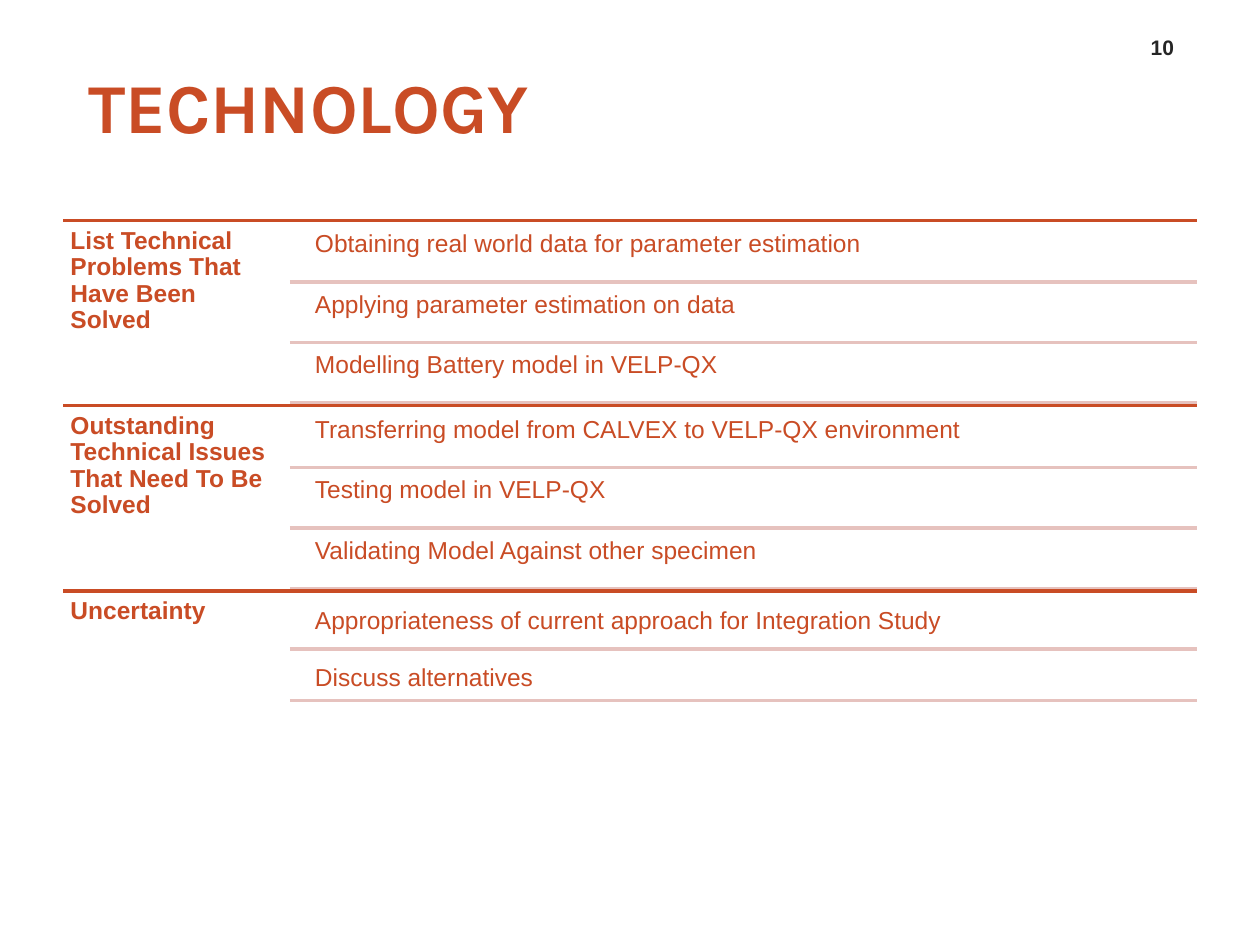
import pptx
import pptx.dml.color
import pptx.enum.shapes
import pptx.enum.text
import pptx.oxml
import pptx.util

Inches = pptx.util.Inches
ALIGN = pptx.enum.text.PP_ALIGN
ANCHOR = pptx.enum.text.MSO_ANCHOR

COLORS = {"accent": "C94C25", "rule": "E6C2BE", "number": "262626"}

LEFT, RIGHT = 0.5, 9.5
RULE_LEFT, ITEM_LEFT = 2.3, 2.44
SECTION_TOP, SECTION_HEIGHT = 1.75, 1.47

# Row places within a section: (offset from its top, height)
EVEN_ROWS = [(0.03 + 0.48 * row, 0.46) for row in range(3)]
SHORT_ROWS = [(0.08, 0.38), (0.53, 0.34)]

SECTIONS = [
    ("List Technical Problems That Have Been Solved", EVEN_ROWS, [
        "Obtaining real world data for parameter estimation",
        "Applying parameter estimation on data",
        "Modelling Battery model in VELP-QX",
    ]),
    ("Outstanding Technical Issues That Need To Be Solved", EVEN_ROWS, [
        "Transferring model from CALVEX to VELP-QX environment",
        "Testing model in VELP-QX",
        "Validating Model Against other specimen",
    ]),
    ("Uncertainty", SHORT_ROWS, [
        "Appropriateness of current approach for Integration Study",
        "Discuss alternatives",
    ]),
]


def rgb(name):
    return pptx.dml.color.RGBColor.from_string(COLORS[name])


def write_text(box, text, size, color, font="Arial", bold=False,
               align=ALIGN.LEFT, anchor=ANCHOR.TOP):
    frame = box.text_frame
    frame.text = text
    frame.word_wrap = True
    frame.auto_size = pptx.enum.text.MSO_AUTO_SIZE.NONE
    frame.vertical_anchor = anchor
    para = frame.paragraphs[0]
    para.alignment = align
    span = para.runs[0]
    span.font.name = font
    span.font.size = pptx.util.Pt(size)
    span.font.bold = bold
    span.font.color.rgb = rgb(color)
    return para


def add_title(page, text):
    title = page.shapes.title
    title.left, title.top = Inches(LEFT), Inches(0.4)
    title.width, title.height = Inches(5.33), Inches(0.87)
    para = write_text(title, text, 40, "accent", font="Karla", bold=True,
                      anchor=ANCHOR.MIDDLE)
    title.text_frame.margin_left = title.text_frame.margin_right = 0
    properties = para._p.get_or_add_pPr()
    properties.set("marL", str(Inches(0.2)))
    properties.set("indent", "0")


def add_number(page, text):
    box = page.shapes.add_textbox(Inches(8.95), Inches(0.19),
                                  Inches(0.55), Inches(0.33))
    write_text(box, text, 12, "number", bold=True,
               align=ALIGN.CENTER, anchor=ANCHOR.BOTTOM)


def add_label(group, text, left, top, width, height, bold=False):
    box = group.shapes.add_textbox(Inches(left), Inches(top),
                                   Inches(width), Inches(height))
    para = write_text(box, text, 14, "accent", bold=bold)
    para.line_spacing = 0.9
    frame = box.text_frame
    frame.margin_left = frame.margin_right = Inches(0.06)
    frame.margin_top = frame.margin_bottom = Inches(0.06)


def add_rule(group, left, top, color):
    rule = group.shapes.add_connector(
        pptx.enum.shapes.MSO_CONNECTOR.STRAIGHT,
        Inches(left), Inches(top), Inches(RIGHT), Inches(top))
    rule.line.color.rgb = rgb(color)
    rule.line.width = pptx.util.Pt(2)
    # Remove the theme shadow
    effects = pptx.oxml.parse_xml(
        '<a:effectLst xmlns:a='
        '"http://schemas.openxmlformats.org/drawingml/2006/main"/>')
    rule._element.spPr.append(effects)


def add_section(group, top, heading, rows, items):
    add_rule(group, LEFT, top, "accent")
    add_label(group, heading, LEFT, top, RULE_LEFT - LEFT, SECTION_HEIGHT,
              bold=True)
    for (offset, height), item in zip(rows, items):
        add_label(group, item, ITEM_LEFT, top + offset, 7.07, height)
        add_rule(group, RULE_LEFT, top + offset + height, "rule")


def main():
    deck = pptx.Presentation()
    deck.slide_width, deck.slide_height = Inches(10), Inches(7.5)
    page = deck.slides.add_slide(deck.slide_layouts[5])

    # Heading and page number
    add_title(page, "TECHNOLOGY")
    add_number(page, "10")

    # Ruled list of sections
    group = page.shapes.add_group_shape()
    for index, (heading, rows, items) in enumerate(SECTIONS):
        top = SECTION_TOP + index * SECTION_HEIGHT
        add_section(group, top, heading, rows, items)

    deck.save("out.pptx")


if __name__ == "__main__":
    main()
